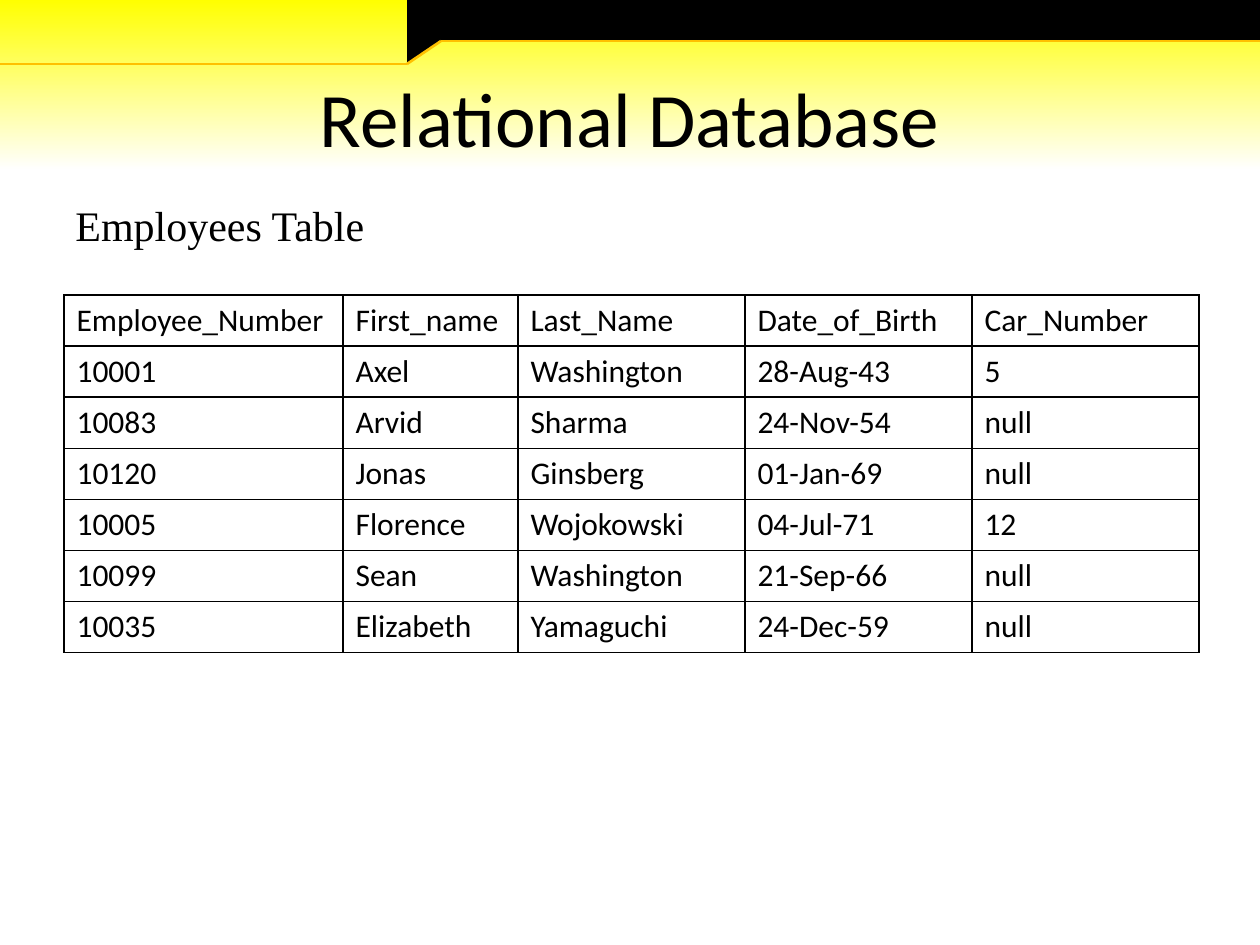
from lxml.etree import SubElement
from pptx import Presentation
from pptx.dml.color import RGBColor
from pptx.enum.shapes import MSO_CONNECTOR as Link, MSO_SHAPE as Shape
from pptx.enum.text import MSO_ANCHOR as Anchor, PP_ALIGN as Align
from pptx.oxml.ns import qn
from pptx.util import Pt

SCALE = 914400 / 126  # EMU in one px

WIDTHS = [279, 175, 227, 227, 227]
ROWS = [
    ["Employee_Number", "First_name", "Last_Name", "Date_of_Birth", "Car_Number"],
    ["10001", "Axel", "Washington", "28-Aug-43", "5"],
    ["10083", "Arvid", "Sharma", "24-Nov-54", "null"],
    ["10120", "Jonas", "Ginsberg", "01-Jan-69", "null"],
    ["10005", "Florence", "Wojokowski", "04-Jul-71", "12"],
    ["10099", "Sean", "Washington", "21-Sep-66", "null"],
    ["10035", "Elizabeth", "Yamaguchi", "24-Dec-59", "null"],
]


def px(n):
    return round(n * SCALE)


def place(*box):
    return [px(n) for n in box]


def color(code):
    return RGBColor.from_string(code)


def style(frame, size, face="Calibri"):
    for run in frame.paragraphs[0].runs:
        run.font.size = Pt(size)
        run.font.name = face
        run.font.color.rgb = color("000000")


def add_back(slide):
    fill = slide.background.fill
    fill.gradient()
    fill.gradient_angle = 270
    for stop, at, code in zip(fill.gradient_stops, (0, 0.18), ("FFFF00", "FFFFFF")):
        stop.position = at
        stop.color.rgb = color(code)


def add_black(slide, kind, box):
    shape = slide.shapes.add_shape(kind, *place(*box))
    shape.shadow.inherit = False
    shape.fill.solid()
    shape.fill.fore_color.rgb = color("000000")
    shape.line.fill.background()
    return shape


def add_band(slide, left, top, width, height):
    tab, slant, bar = 407, 34, 41
    # Black bar and its slanted corner
    add_black(slide, Shape.RECTANGLE, (left + tab, top, width - tab, bar))
    corner = add_black(slide, Shape.ISOSCELES_TRIANGLE,
                       (left + tab, top + bar, slant, height - bar))
    corner.adjustments[0] = 1
    corner.rotation = 180
    # Orange edge below the band
    points = [(0, height), (tab, height), (tab + slant, bar), (width, bar)]
    for (x1, y1), (x2, y2) in zip(points, points[1:]):
        ends = place(left + x1, top + y1, left + x2, top + y2)
        edge = slide.shapes.add_connector(Link.STRAIGHT, *ends)
        edge.line.color.rgb = color("FFC000")
        edge.line.width = Pt(1.5)
        SubElement(edge.element.spPr, qn("a:effectLst"))


def set_title(slide, text, *box):
    title = slide.shapes.title
    title.left, title.top, title.width, title.height = place(*box)
    frame = title.text_frame
    frame.text = text
    frame.vertical_anchor = Anchor.MIDDLE
    frame.paragraphs[0].alignment = Align.CENTER
    style(frame, 44)
    slide.shapes.element.append(title.element)  # in front of the band


def add_border(cell):
    props = cell._tc.get_or_add_tcPr()
    for i, side in enumerate(("lnL", "lnR", "lnT", "lnB")):
        line = SubElement(props, qn("a:" + side), w=str(Pt(1)))
        fill = SubElement(line, qn("a:solidFill"))
        SubElement(fill, qn("a:srgbClr"), val="000000")
        props.insert(i, line)  # borders come before the fill


def add_grid(slide, left, top, width, height):
    shape = slide.shapes.add_table(len(ROWS), len(WIDTHS),
                                   *place(left, top, width, height))
    table = shape.table
    table.first_row = table.horz_banding = False
    for col, size in zip(table.columns, WIDTHS):
        col.width = px(size)
    for row, texts in zip(table.rows, ROWS):
        row.height = px(height / len(ROWS))
        for cell, text in zip(row.cells, texts):
            cell.text_frame.text = text
            cell.vertical_anchor = Anchor.MIDDLE
            cell.fill.background()
            style(cell.text_frame, 18)
            add_border(cell)


def add_label(slide, text, *box):
    frame = slide.shapes.add_textbox(*place(*box)).text_frame
    frame.word_wrap = True
    frame.margin_top = px(11)
    frame.text = text
    style(frame, 24, "Times New Roman")


def main():
    deck = Presentation()
    deck.slide_width, deck.slide_height = place(1260, 945)
    slide = deck.slides.add_slide(deck.slide_layouts[5])
    add_back(slide)
    add_band(slide, 0, 0, 1260, 64)
    set_title(slide, "Relational Database", 63, 38, 1134, 157)
    add_grid(slide, 64, 295, sum(WIDTHS), 358)
    add_label(slide, "Employees Table", 63, 189, 1104, 267)
    deck.save("out.pptx")


if __name__ == "__main__":
    main()
